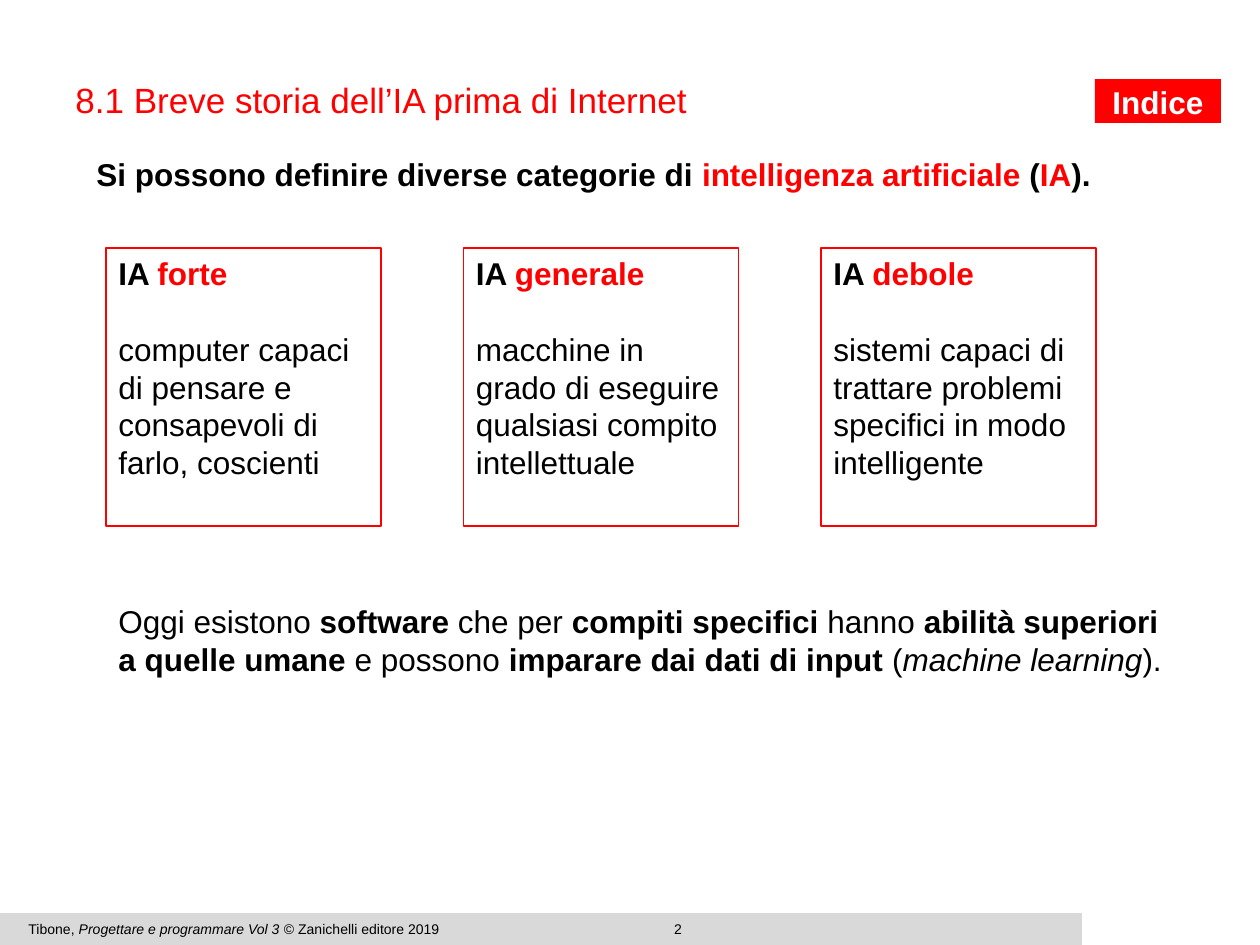
from pptx import Presentation
from pptx.dml.color import RGBColor
from pptx.enum.shapes import MSO_SHAPE
from pptx.enum.text import MSO_ANCHOR, PP_ALIGN
from pptx.util import Pt

RECT = MSO_SHAPE.RECTANGLE
TOP, MIDDLE = MSO_ANCHOR.TOP, MSO_ANCHOR.MIDDLE
LEFT, CENTER = PP_ALIGN.LEFT, PP_ALIGN.CENTER

RED = RGBColor(0xFF, 0, 0)
BLACK = RGBColor(0, 0, 0)
WHITE = RGBColor(0xFF, 0xFF, 0xFF)
GREY = RGBColor(0xD9, 0xD9, 0xD9)

PX = 914400 / 126  # EMU in one px
FONT = "Arial"

CARDS = [
    ("forte", "computer capaci di pensare e consapevoli di farlo, coscienti"),
    ("generale", "macchine in grado di eseguire qualsiasi compito intellettuale"),
    ("debole", "sistemi capaci di trattare problemi specifici in modo intelligente"),
]


def emu(*lengths):
    return [round(n * PX) for n in lengths]


def add_rect(slide, box, fill=None, line=None):
    sp = slide.shapes.add_shape(RECT, *emu(*box))
    sp.shadow.inherit = False
    if fill is None:
        sp.fill.background()
    else:
        sp.fill.solid()
        sp.fill.fore_color.rgb = fill
    if line is None:
        sp.line.fill.background()
    else:
        sp.line.color.rgb = line
        sp.line.width = Pt(0.75)
    return sp


def style(p, size, color=BLACK, bold=False, align=LEFT):
    p.alignment = align
    p.font.name = FONT
    p.font.size = Pt(size)
    p.font.color.rgb = color
    p.font.bold = bold


def add_runs(p, runs):
    """Each run is a plain string or a (text, font settings) pair."""
    for run in runs:
        text, look = (run, {}) if isinstance(run, str) else run
        r = p.add_run()
        r.text = text
        if "color" in look:
            r.font.color.rgb = look["color"]
        if "bold" in look:
            r.font.bold = look["bold"]
        if "italic" in look:
            r.font.italic = look["italic"]


def add_text(slide, box, runs, size, anchor=TOP, wrap=True, **look):
    tf = slide.shapes.add_textbox(*emu(*box)).text_frame
    tf.word_wrap = wrap
    tf.vertical_anchor = anchor
    p = tf.paragraphs[0]
    style(p, size, **look)
    add_runs(p, runs)
    return p


def add_footer(slide, x, y, w, h):
    add_rect(slide, (x, y, w, h), fill=GREY)
    add_text(slide, (x + 547, y + 1, 262, 21), ["2"], 8, align=CENTER)
    add_text(slide, (x + 16, y + 1, 571, 36),
             ["Tibone, ", ("Progettare e programmare Vol 3 ", {"italic": True}),
              "© Zanichelli editore 2019"], 8)


def add_header(slide, x, y, w, h):
    # Index button at the right end, title at the left
    add_rect(slide, (x + w - 126, y + 1, 126, 44), fill=RED)
    add_text(slide, (x + w - 121, y - 1, 116, 50), ["Indice"], 18,
             wrap=False, color=WHITE, bold=True, align=CENTER)
    p = add_text(slide, (x, y, 1012, h),
                 ["8.1 Breve storia dell’IA prima di Internet"], 20,
                 anchor=MIDDLE, color=RED)
    p.line_spacing = 0.9


def add_intro(slide, *box):
    red = {"color": RED}
    add_text(slide, box,
             ["Si possono definire diverse categorie di ",
              ("intelligenza artificiale", red), " (", ("IA", red), ")."],
             18, bold=True)


def add_card(slide, box, kind, description):
    tf = add_rect(slide, box, line=RED).text_frame
    tf.word_wrap = True
    tf.vertical_anchor = TOP
    p = tf.paragraphs[0]
    style(p, 18, bold=True)
    add_runs(p, ["IA ", (kind, {"color": RED})])
    p = tf.add_paragraph()
    style(p, 18)
    p.space_before = Pt(21.6)
    add_runs(p, [description])


def add_cards(slide, x, y, w, h):
    card_w = 275
    step = (w - card_w) / (len(CARDS) - 1)
    for i, (kind, description) in enumerate(CARDS):
        add_card(slide, (x + i * step, y, card_w, h), kind, description)


def add_conclusion(slide, *box):
    bold = {"bold": True}
    add_text(slide, box,
             ["Oggi esistono ", ("software", bold), " che per ",
              ("compiti specifici", bold), " hanno ",
              ("abilità superiori a quelle umane", bold), " e possono ",
              ("imparare dai dati di input", bold), " (",
              ("machine learning", {"italic": True}), ")."], 18)


def main():
    prs = Presentation()
    prs.slide_width, prs.slide_height = emu(1260, 945)
    slide = prs.slides.add_slide(prs.slide_layouts[6])
    add_footer(slide, 0, 913, 1082, 32)
    add_header(slide, 63, 78, 1158, 49)
    add_intro(slide, 84, 149, 1050, 50)
    add_cards(slide, 106, 248, 990, 278)
    add_conclusion(slide, 106, 596, 1086, 88)
    prs.save("out.pptx")


if __name__ == "__main__":
    main()
